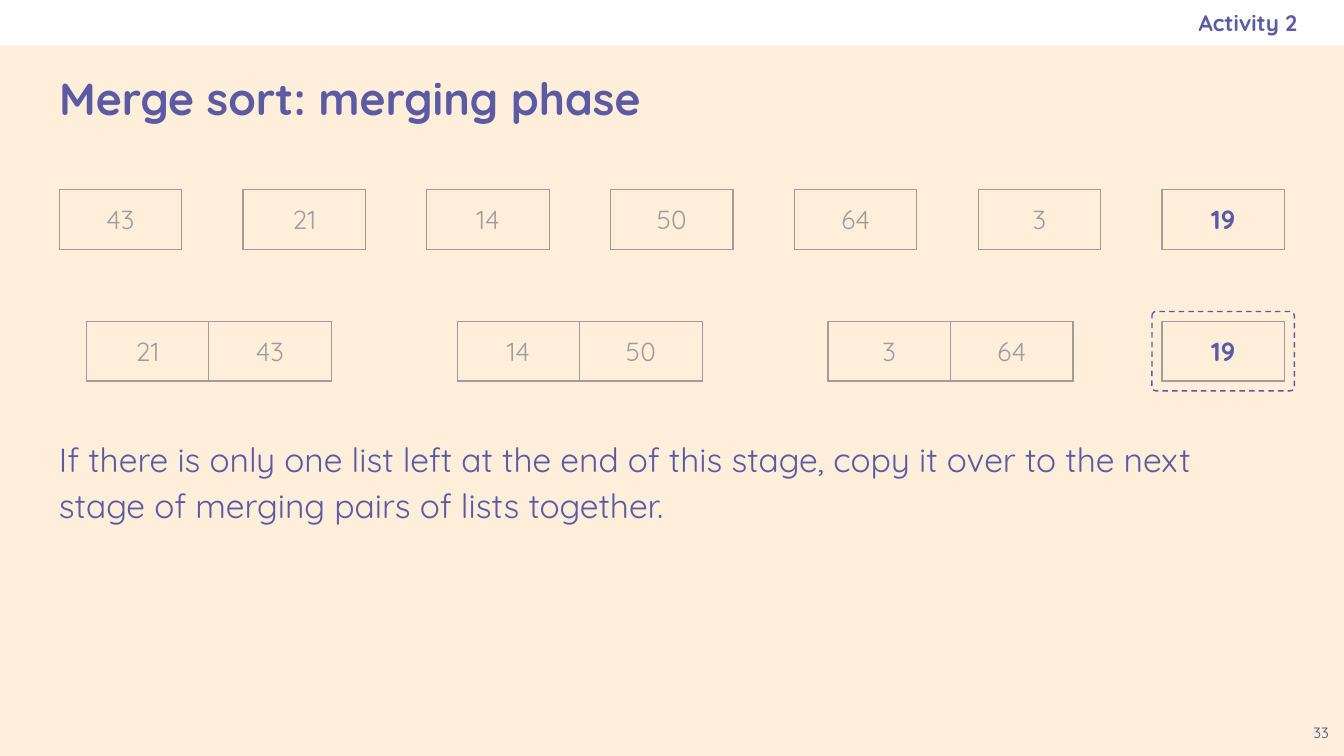
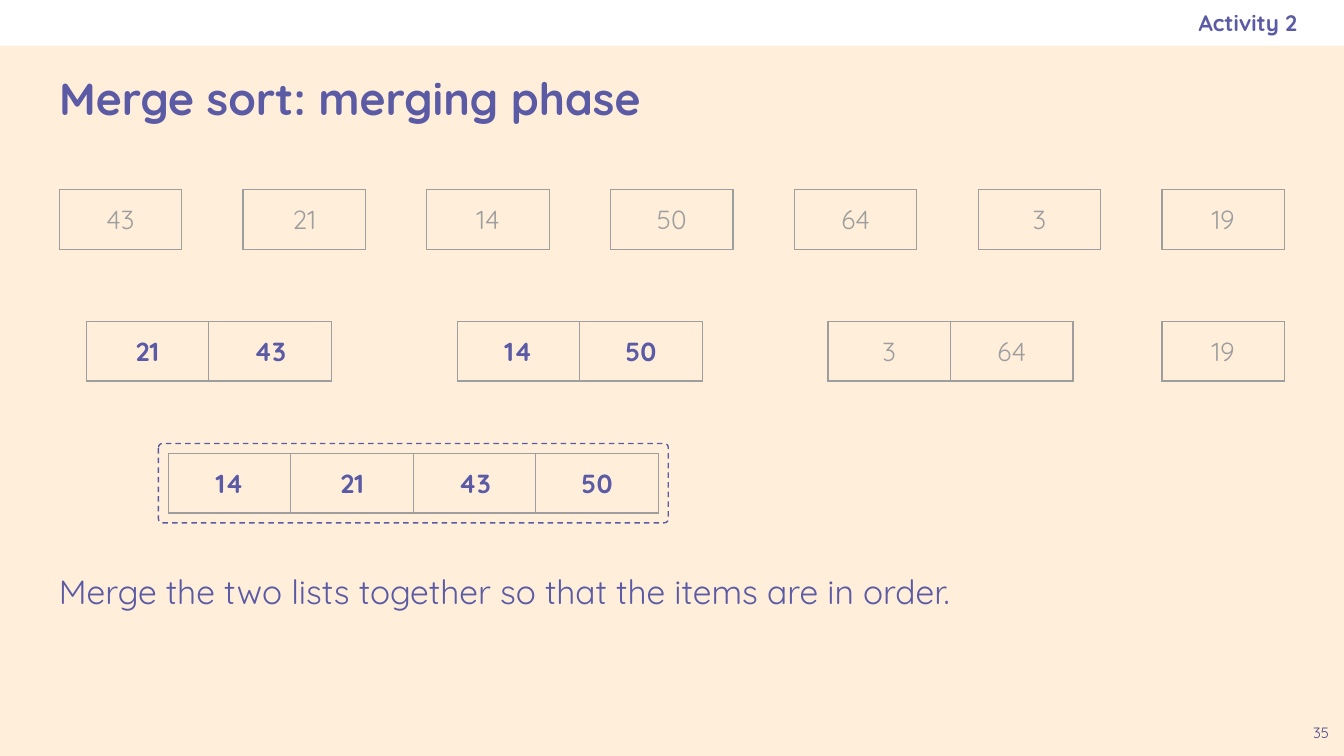
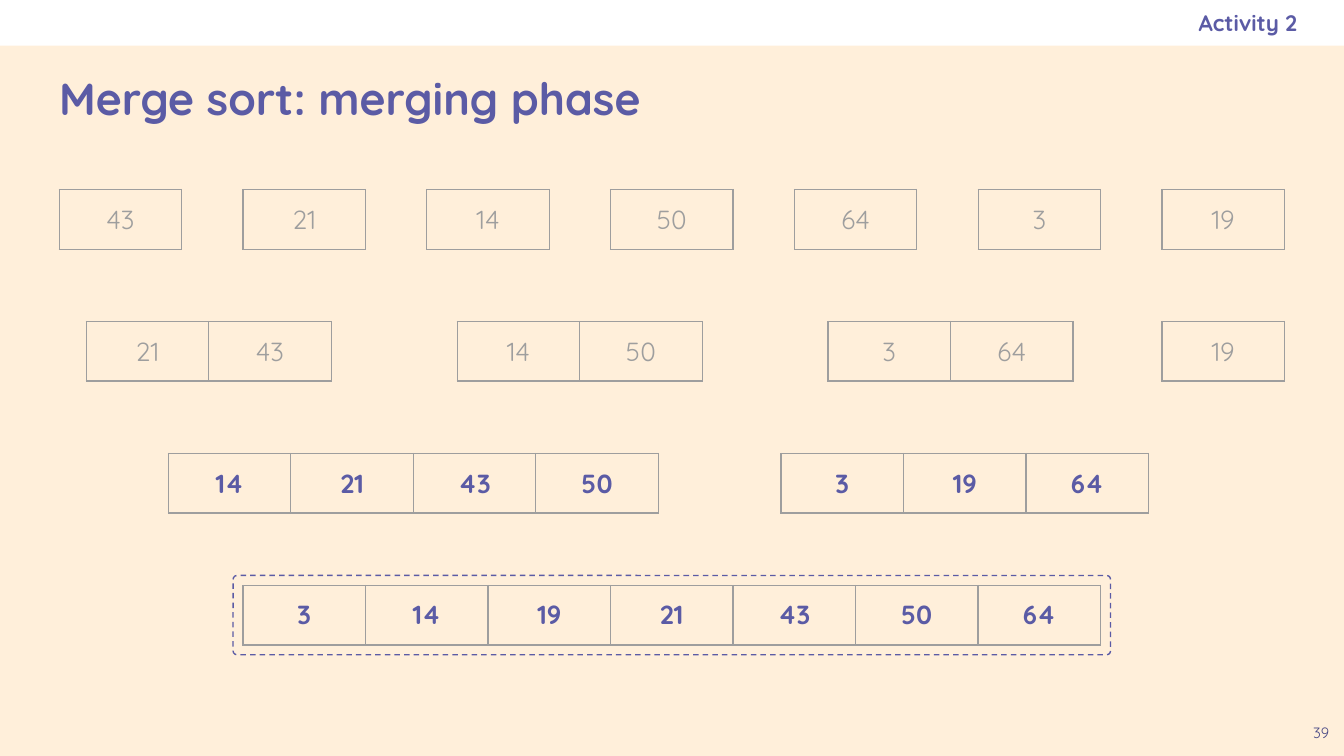
from lxml import etree
from pptx import Presentation
from pptx import util as u
from pptx.dml.color import RGBColor
from pptx.enum import dml, shapes, text
from pptx.oxml import ns

FONT = "Quicksand"
CREAM = RGBColor(0xFF, 0xEF, 0xDA)
WHITE = RGBColor(0xFF, 0xFF, 0xFF)
PURPLE = RGBColor(0x5B, 0x5B, 0xA5)
DARK_PURPLE = RGBColor(0x49, 0x49, 0x85)
GREY = RGBColor(0x9E, 0x9E, 0x9E)

WIDTH, HEIGHT = 720, 405
BAND_HEIGHT = 24.5
MARGIN = 24.5
INSET = 7.2
CELL_WIDTH, CELL_HEIGHT = 65.64, 30.24
DRAWN_HEIGHT = 31.9
FIRST_LEFT, FIRST_TOP = 31.7, 101.5
ITEM_STEP = 1.5 * CELL_WIDTH
ROW_STEP = 70.7
PAIR_LEFT, PAIR_STEP = 46.2, 198.7
FOUR_LEFT = 90.2
THREE_LEFT = FOUR_LEFT + 5 * CELL_WIDTH
FRAME_PAD = 5.3

ITEMS = [43, 21, 14, 50, 64, 3, 19]
PAIRS = [[21, 43], [14, 50], [3, 64]]
FOUR, THREE = [14, 21, 43, 50], [3, 19, 64]


class Deck:
    """Holds the shared style and the slide being built."""

    def __init__(self):
        """Open a presentation with a cream background."""
        self.presentation = Presentation()
        self.presentation.slide_width = u.Pt(WIDTH)
        self.presentation.slide_height = u.Pt(HEIGHT)
        self.layout = self.presentation.slide_layouts[0]
        fill = self.presentation.slide_master.background.fill
        fill.solid()
        fill.fore_color.rgb = CREAM
        self.slide = None

    def add_slide(self, number):
        """Start a slide with its title, activity label and number."""
        first = self.slide is None
        self.slide = self.presentation.slides.add_slide(self.layout)
        if first:
            self.add_layout_band()
        title, activity = self.slide.placeholders
        self.place(title, MARGIN, BAND_HEIGHT, WIDTH - 2 * MARGIN, 55.4)
        self.set_text(title.text_frame, "Merge sort: merging phase", 24, bold=True,
                      anchor=text.MSO_ANCHOR.MIDDLE)
        self.place(activity, 414, 0, 281, BAND_HEIGHT)
        self.set_text(activity.text_frame, "Activity 2", 12, bold=True,
                      align=text.PP_ALIGN.RIGHT, anchor=text.MSO_ANCHOR.MIDDLE)
        activity.text_frame.margin_right = 0
        self.add_text(str(number), WIDTH - MARGIN, 380.2, MARGIN, MARGIN, 8,
                      DARK_PURPLE, align=text.PP_ALIGN.CENTER)

    def add_layout_band(self):
        """Put the white band at the back of the layout."""
        band = self.slide.shapes.add_shape(
            shapes.MSO_SHAPE.RECTANGLE, 0, 0, u.Pt(WIDTH), u.Pt(BAND_HEIGHT))
        band.shadow.inherit = False
        band.fill.solid()
        band.fill.fore_color.rgb = WHITE
        band.line.fill.background()
        band.element.xpath("p:nvSpPr/p:cNvPr")[0].set("id", "20")
        self.layout.shapes[0].element.addprevious(band.element)

    def place(self, shape, left, top, width, height):
        """Move and size a shape in points."""
        shape.left, shape.top = u.Pt(left), u.Pt(top)
        shape.width, shape.height = u.Pt(width), u.Pt(height)

    def set_text(self, frame, words, size, color=PURPLE, bold=False,
                 align=text.PP_ALIGN.LEFT, anchor=text.MSO_ANCHOR.TOP):
        """Fill a text frame with one styled paragraph."""
        frame.text = words
        frame.word_wrap = True
        frame.auto_size = text.MSO_AUTO_SIZE.NONE
        frame.vertical_anchor = anchor
        frame.margin_left = frame.margin_right = u.Pt(INSET)
        frame.margin_top = frame.margin_bottom = u.Pt(INSET)
        return self.style(frame.paragraphs[0], size, color, bold, align)

    def style(self, paragraph, size, color, bold, align):
        """Set the font and alignment of a paragraph."""
        paragraph.alignment = align
        paragraph.space_before = u.Pt(0)
        font = paragraph.font
        font.name, font.size, font.bold = FONT, u.Pt(size), bold
        font.color.rgb = color
        return paragraph

    def add_text(self, words, left, top, width, height, size, color=PURPLE,
                 align=text.PP_ALIGN.LEFT):
        """Add a text box and return its paragraph."""
        box = self.slide.shapes.add_textbox(
            u.Pt(left), u.Pt(top), u.Pt(width), u.Pt(height))
        return self.set_text(box.text_frame, words, size, color, align=align)

    def add_explanation(self, words, row):
        """Explain the step below the given row of lists."""
        paragraph = self.add_text(words, MARGIN, row_top(row) + 52.5,
                                  WIDTH - 2 * MARGIN, 101.5, 18)
        paragraph.line_spacing = 1.15
        paragraph.space_after = u.Pt(16)

    def add_list(self, values, left, row, active=False, framed=False):
        """Draw a list as a one-row table, with a dashed frame if asked."""
        if framed:
            self.add_frame(len(values), left, row)
        table = self.slide.shapes.add_table(
            1, len(values), u.Pt(left), u.Pt(row_top(row)),
            u.Pt(CELL_WIDTH * len(values)), u.Pt(CELL_HEIGHT)).table
        table.first_row = table.horz_banding = False
        for column, cell, value in zip(table.columns, table.iter_cells(), values):
            column.width = u.Pt(CELL_WIDTH)
            cell.text = str(value)
            cell.margin_left = cell.margin_right = u.Pt(INSET)
            cell.margin_top = cell.margin_bottom = u.Pt(INSET)
            self.style(cell.text_frame.paragraphs[0], 14,
                       PURPLE if active else GREY, active,
                       text.PP_ALIGN.CENTER)
            self.add_borders(cell)
            cell.fill.background()

    def add_borders(self, cell):
        """Give a cell a thin grey line on every side."""
        properties = cell._tc.get_or_add_tcPr()
        for side in "LRTB":
            line = etree.SubElement(properties, ns.qn(f"a:ln{side}"),
                                    w=str(u.Pt(0.75)))
            fill = etree.SubElement(line, ns.qn("a:solidFill"))
            etree.SubElement(fill, ns.qn("a:srgbClr"), val=str(GREY))

    def add_frame(self, count, left, row):
        """Draw a dashed frame around a list of count cells."""
        frame = self.slide.shapes.add_shape(
            shapes.MSO_SHAPE.ROUNDED_RECTANGLE,
            u.Pt(left - FRAME_PAD), u.Pt(row_top(row) - FRAME_PAD),
            u.Pt(count * CELL_WIDTH + 2 * FRAME_PAD),
            u.Pt(DRAWN_HEIGHT + 2 * FRAME_PAD))
        frame.adjustments[0] = 0.05
        frame.shadow.inherit = False
        frame.fill.background()
        frame.line.color.rgb = PURPLE
        frame.line.width = u.Pt(0.75)
        frame.line.dash_style = dml.MSO_LINE.DASH

    def add_items(self, active=()):
        """Draw the row of single items."""
        for index, value in enumerate(ITEMS):
            self.add_list([value], item_left(index), 0, value in active)

    def add_pairs(self, active=0, last_active=False):
        """Draw the row of pairs and the item left over."""
        for index, pair in enumerate(PAIRS):
            self.add_list(pair, PAIR_LEFT + index * PAIR_STEP, 1, index < active)
        self.add_list(ITEMS[-1:], item_left(6), 1, last_active, last_active)


def row_top(row):
    """Return the top of a row of lists."""
    return FIRST_TOP + row * ROW_STEP


def item_left(index):
    """Return the left edge of a single item."""
    return FIRST_LEFT + index * ITEM_STEP


def main():
    """Build the three merging steps."""
    deck = Deck()

    deck.add_slide(33)
    deck.add_items(active=[19])
    deck.add_pairs(last_active=True)
    deck.add_explanation("If there is only one list left at the end of this stage, "
                         "copy it over to the next stage of merging pairs of lists "
                         "together.", 1)

    deck.add_slide(35)
    deck.add_items()
    deck.add_pairs(active=2)
    deck.add_list(FOUR, FOUR_LEFT, 2, active=True, framed=True)
    deck.add_explanation("Merge the two lists together so that the items are in "
                         "order.", 2)

    deck.add_slide(39)
    deck.add_items()
    deck.add_pairs()
    deck.add_list(FOUR, FOUR_LEFT, 2, active=True)
    deck.add_list(THREE, THREE_LEFT, 2, active=True)
    deck.add_list(sorted(ITEMS), item_left(1), 3, active=True, framed=True)

    deck.presentation.save("out.pptx")


if __name__ == "__main__":
    main()
